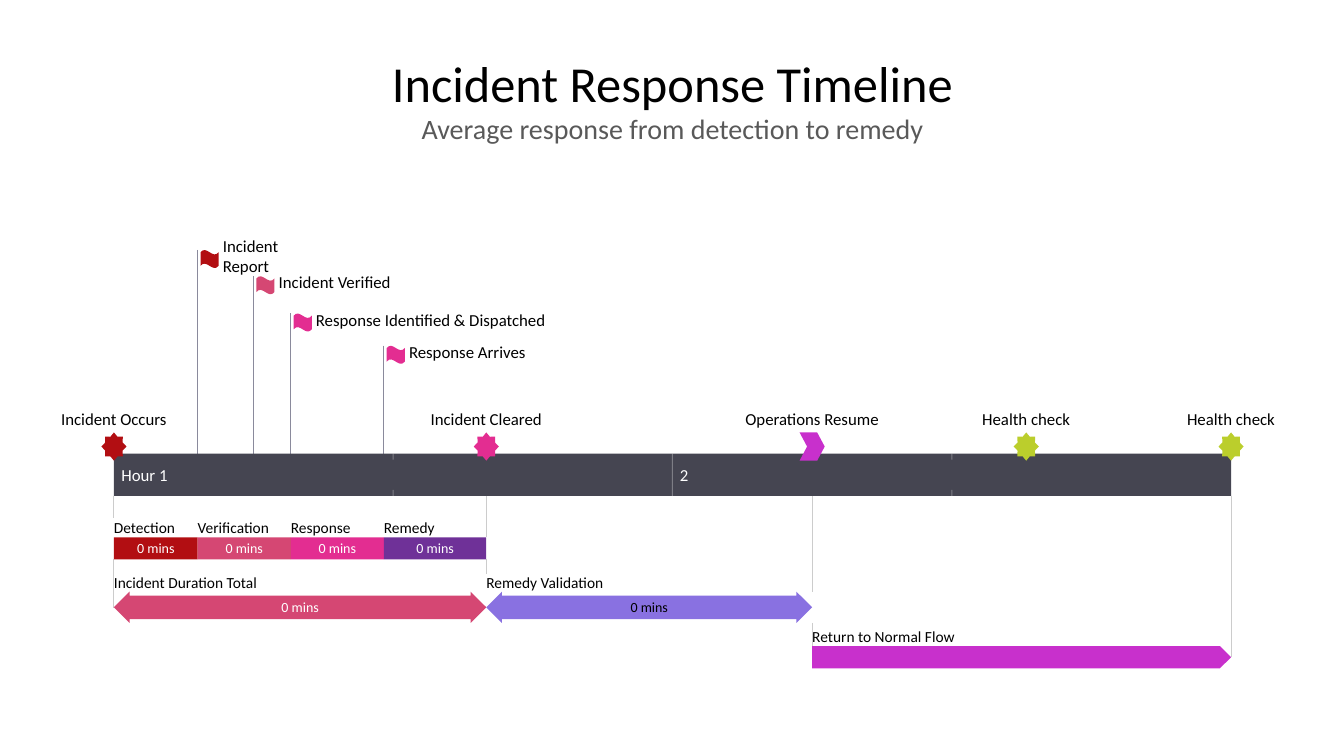
from dataclasses import dataclass

from lxml import etree
from pptx import Presentation
from pptx.dml.color import RGBColor
from pptx.enum.shapes import MSO_CONNECTOR, MSO_SHAPE
from pptx.enum.text import MSO_ANCHOR, PP_ALIGN
from pptx.oxml.ns import qn
from pptx.util import Inches, Pt

STRAIGHT = MSO_CONNECTOR.STRAIGHT
RECTANGLE, DOUBLE_ARROW = MSO_SHAPE.RECTANGLE, MSO_SHAPE.LEFT_RIGHT_ARROW
PENTAGON, CHEVRON = MSO_SHAPE.PENTAGON, MSO_SHAPE.CHEVRON
STAR, WAVE = MSO_SHAPE.STAR_8_POINT, MSO_SHAPE.WAVE
LEFT, CENTER, MIDDLE = PP_ALIGN.LEFT, PP_ALIGN.CENTER, MSO_ANCHOR.MIDDLE
TOP_SIDE, BOTTOM_SIDE = 0, 2


@dataclass(frozen=True)
class Theme:
    font: str = "Calibri"
    title_size: int = 36
    subtitle_size: int = 20
    label_size: int = 12
    task_size: int = 11
    duration_size: int = 10
    line_width: float = 0.75
    black: str = "000000"
    white: str = "FFFFFF"
    gray: str = "595959"
    bar: str = "454551"
    pole: str = "8A8A9C"
    drop: str = "CCCCCC"
    red: str = "B20E12"
    rose: str = "D54773"
    pink: str = "E32D91"
    purple: str = "6F3198"
    violet: str = "8971E1"
    magenta: str = "C830CC"
    lime: str = "BBCE2C"


class TimelineSlide:
    """Columns are minutes on the time axis; rows are 75ths of the height."""

    MINUTES = 120
    AXIS_LEFT, AXIS_WIDTH = 1.13, 11.08
    ROW = 0.1
    BAR_TOP, BAR_BOTTOM = 45, 49.2

    def __init__(self, slide, theme):
        self.slide = slide
        self.theme = theme

    def x(self, minute):
        return Inches(self.AXIS_LEFT + self.width(minute) / Inches(1))

    def width(self, minutes):
        return Inches(minutes * self.AXIS_WIDTH / self.MINUTES)

    def y(self, row):
        return Inches(row * self.ROW)

    def shape(self, kind, minute, row, minutes, rows, color, adjustments=()):
        shape = self.slide.shapes.add_shape(
            kind, self.x(minute), self.y(row), self.width(minutes), self.y(rows))
        shape.shadow.inherit = False
        shape.fill.solid()
        shape.fill.fore_color.rgb = RGBColor.from_string(color)
        shape.line.fill.background()
        for index, value in enumerate(adjustments):
            shape.adjustments[index] = value
        return shape

    def text(self, words, minute, row, minutes, rows, size, color, alignment=LEFT):
        box = self.slide.shapes.add_textbox(
            self.x(minute), self.y(row), self.width(minutes), self.y(rows))
        frame = box.text_frame
        frame.margin_left = frame.margin_right = 0
        frame.margin_top = frame.margin_bottom = 0
        frame.word_wrap = True
        frame.vertical_anchor = MIDDLE
        frame.text = words
        paragraph = frame.paragraphs[0]
        paragraph.alignment = alignment
        font = paragraph.runs[0].font
        font.name = self.theme.font
        font.size = Pt(size)
        font.color.rgb = RGBColor.from_string(color)

    def centered_text(self, words, minute, row, minutes, rows, size, color):
        self.text(words, minute - minutes / 2, row, minutes, rows, size, color, CENTER)

    def vertical(self, minute, top, bottom, color, opacity=None):
        line = self.slide.shapes.add_connector(
            STRAIGHT, self.x(minute), self.y(top), self.x(minute), self.y(bottom))
        line.line.width = Pt(self.theme.line_width)
        line.line.color.rgb = RGBColor.from_string(color)
        properties = line._element.spPr
        etree.SubElement(properties, qn("a:effectLst"))
        if opacity is not None:
            color_element = next(properties.iter(qn("a:srgbClr")))
            etree.SubElement(color_element, qn("a:alpha"), val=str(opacity * 1000))
        return line

    def time_bar(self):
        bar = self.shape(RECTANGLE, 0, self.BAR_TOP, self.MINUTES,
                         self.BAR_BOTTOM - self.BAR_TOP, self.theme.bar)
        middle = self.vertical(60, self.BAR_TOP, self.BAR_BOTTOM, self.theme.white, 30)
        middle.begin_connect(bar, TOP_SIDE)
        middle.end_connect(bar, BOTTOM_SIDE)
        for minute in (30, 90):
            for top in (self.BAR_TOP, self.BAR_BOTTOM - 0.6):
                self.vertical(minute, top, top + 0.6, self.theme.white, 30)
        for words, minute, minutes in (("Hour 1", 0, 5), ("2", 60, 1)):
            self.text(words, minute + 0.8, 46.1, minutes, 2,
                      self.theme.label_size, self.theme.white)

    def task(self, words, start, end, row, rows, kind, color, label_minutes,
             duration="", duration_color=None, adjustments=()):
        self.shape(kind, start, row, end - start, rows, color, adjustments)
        self.text(words, start, row - 1.9, label_minutes, 1.9,
                  self.theme.task_size, self.theme.black)
        if duration:
            self.centered_text(duration, (start + end) / 2, row + rows / 2 - 0.85, 4.2,
                               1.7, self.theme.duration_size, duration_color)

    def flag(self, words, minute, row, color, label_minutes, label_rows):
        self.shape(WAVE, minute + 0.3, row, 1.95, 1.8, color)
        self.text(words, minute + 2.7, row + 0.6 - label_rows / 2, label_minutes,
                  label_rows, self.theme.label_size, self.theme.black)

    def milestone(self, words, minute, kind, color, label_minutes, adjustments=()):
        self.shape(kind, minute - 1.35, 42.9, 2.7, 2.8, color, adjustments)
        self.centered_text(words, minute, 40.6, label_minutes, 2,
                           self.theme.label_size, self.theme.black)


def main():
    presentation = Presentation()
    presentation.slide_width = Inches(13.33)
    presentation.slide_height = Inches(7.5)
    theme = Theme()
    timeline = TimelineSlide(
        presentation.slides.add_slide(presentation.slide_layouts[6]), theme)

    # Heading
    timeline.centered_text("Incident Response Timeline", 60, 4.6, 87.6, 7.1,
                           theme.title_size, theme.black)
    timeline.centered_text("Average response from detection to remedy", 60, 10.5, 84.5,
                           4.4, theme.subtitle_size, theme.gray)

    # Flag poles and drop lines, behind the bar
    flags = (
        ("Incident Report", 9, 24.8, theme.red, 6.5, 4.1),
        ("Incident Verified", 15, 27.4, theme.rose, 12.1, 2),
        ("Response Identified & Dispatched", 19, 31.1, theme.pink, 25.1, 2),
        ("Response Arrives", 29, 34.3, theme.pink, 12.8, 2),
    )
    for _, minute, row, *_ in flags:
        timeline.vertical(minute, row, timeline.BAR_TOP, theme.pole)
    drops = ((0, 49.2, 51.4), (0, 55.5, 60.3), (40, 49.2, 53.3), (40, 55.5, 56.9),
             (75, 49.2, 58.7), (75, 61.8, 65.2), (120, 49.2, 65.2))
    for minute, top, bottom in drops:
        timeline.vertical(minute, top, bottom, theme.drop)

    # Time bar
    timeline.time_bar()

    # Phases, laid end to end
    phases = (
        ("Detection", 0, 9, theme.red, 7),
        ("Verification", 9, 19, theme.rose, 8),
        ("Response", 19, 29, theme.pink, 6.6),
        ("Remedy", 29, 40, theme.purple, 5.8),
    )
    for words, start, end, color, label_minutes in phases:
        timeline.task(words, start, end, 53.3, 2.2, RECTANGLE, color, label_minutes,
                      "0 mins", theme.white)

    # Totals and return to normal
    spans = (
        ("Incident Duration Total", 0, 40, theme.rose, 15.6, theme.white),
        ("Remedy Validation", 40, 75, theme.violet, 12.9, theme.black),
    )
    for words, start, end, color, label_minutes, duration_color in spans:
        timeline.task(words, start, end, 58.7, 3.1, DOUBLE_ARROW, color, label_minutes,
                      "0 mins", duration_color, (0.75, 0.5))
    timeline.task("Return to Normal Flow", 75, 120, 64.1, 2.2, PENTAGON,
                  theme.magenta, 15.6)

    # Flags and milestones
    for flag in flags:
        timeline.flag(*flag)
    milestones = (
        ("Incident Occurs", 0, STAR, theme.red, 11.6),
        ("Incident Cleared", 40, STAR, theme.pink, 12.1),
        ("Operations Resume", 75, CHEVRON, theme.magenta, 14.7, (0.3,)),
        ("Health check", 98, STAR, theme.lime, 9.8),
        ("Health check", 120, STAR, theme.lime, 9.8),
    )
    for milestone in milestones:
        timeline.milestone(*milestone)

    presentation.save("out.pptx")


if __name__ == "__main__":
    main()
